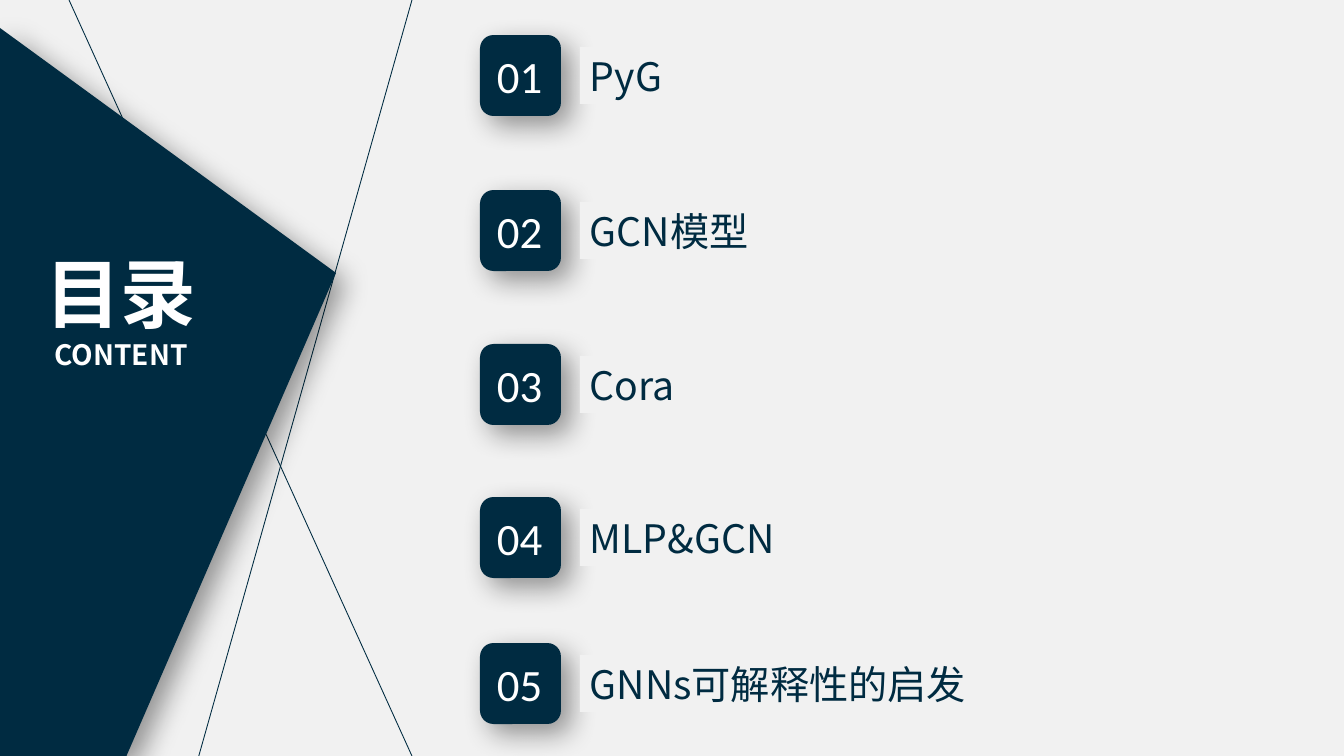
from lxml import etree
from pptx import Presentation, util as u
from pptx.dml.color import RGBColor
from pptx.enum import shapes, text
from pptx.oxml import ns

PX = 12192000 / 1344
NAVY = RGBColor(0x00, 0x2B, 0x41)
WHITE = RGBColor(0xFF, 0xFF, 0xFF)
PALE = RGBColor(0xF1, 0xF1, 0xF1)
CJK_FONT = "Noto Sans CJK SC"
NUMBER_FONT = "Calibri"

BADGE_LEFT = 480
BADGE_SIZE = 81
# label, badge top, label width
CHAPTERS = [
    ("PyG", 35, 756),
    ("GCN模型", 190, 564),
    ("Cora", 344, 564),
    ("MLP&GCN", 497, 564),
    ("GNNs可解释性的启发", 643, 564),
]


def px(*lengths):
    return [u.Emu(round(length * PX)) for length in lengths]


def paint(shape, color):
    shape.shadow.inherit = False
    shape.fill.solid()
    shape.fill.fore_color.rgb = color
    shape.line.fill.background()


def add_soft_shadow(shape):
    """Cast a blurred shadow to the lower right."""
    effects = shape._element.spPr.find(ns.qn("a:effectLst"))
    shadow = etree.SubElement(
        effects, ns.qn("a:outerShdw"), blurRad=str(u.Pt(20)), dist=str(u.Pt(10)),
        dir="2700000", algn="tl", rotWithShape="0")
    color = etree.SubElement(shadow, ns.qn("a:srgbClr"), val="000000")
    etree.SubElement(color, ns.qn("a:alpha"), val="40000")


def style_paragraph(paragraph, size, color, name, bold=False,
                    align=text.PP_ALIGN.LEFT):
    paragraph.alignment = align
    font = paragraph.font
    font.size, font.name, font.bold = u.Pt(size), name, bold
    font.color.rgb = color
    properties = paragraph._p.pPr.find(ns.qn("a:defRPr"))
    etree.SubElement(properties, ns.qn("a:ea"), typeface=name)


def add_line(slide, *ends):
    line = slide.shapes.add_connector(shapes.MSO_CONNECTOR.STRAIGHT, *px(*ends))
    line.line.color.rgb = NAVY
    line.line.width = u.Pt(0.63)
    etree.SubElement(line._element.spPr, ns.qn("a:effectLst"))


def add_panel(slide):
    builder = slide.shapes.build_freeform(126, 757, scale=PX)
    builder.add_line_segments([(0, 757), (0, 28), (336, 273)], close=True)
    panel = builder.convert_to_shape()
    paint(panel, NAVY)
    add_soft_shadow(panel)


def add_title(slide):
    frame = slide.shapes.add_textbox(*px(24, 242, 194, 136)).text_frame
    frame.word_wrap = True
    frame.text = "目录\nCONTENT"
    for paragraph, size in zip(frame.paragraphs, (54, 20)):
        style_paragraph(paragraph, size, WHITE, CJK_FONT, True, text.PP_ALIGN.CENTER)


def add_badge(slide, top, number):
    badge = slide.shapes.add_shape(
        shapes.MSO_SHAPE.ROUNDED_RECTANGLE,
        *px(BADGE_LEFT, top, BADGE_SIZE, BADGE_SIZE))
    paint(badge, NAVY)
    add_soft_shadow(badge)
    frame = slide.shapes.add_textbox(*px(BADGE_LEFT + 7, top + 9, 66, 65)).text_frame
    frame.word_wrap = False
    frame.text = f"{number:02}"
    style_paragraph(frame.paragraphs[0], 32, WHITE, NUMBER_FONT)


def add_label(slide, top, width, label):
    box = slide.shapes.add_shape(
        shapes.MSO_SHAPE.RECTANGLE, *px(BADGE_LEFT + 100, top + 12, width, 57))
    paint(box, PALE)
    frame = box.text_frame
    frame.word_wrap = True
    frame.vertical_anchor = text.MSO_ANCHOR.MIDDLE
    frame.text = label
    style_paragraph(frame.paragraphs[0], 28, NAVY, CJK_FONT)


def main():
    presentation = Presentation()
    presentation.slide_width, presentation.slide_height = px(1344, 756)
    slide = presentation.slides.add_slide(presentation.slide_layouts[6])
    slide.background.fill.solid()
    slide.background.fill.fore_color.rgb = PALE

    add_line(slide, 412, 0, 196, 766)
    add_line(slide, 412, 756, 60, -20)
    add_panel(slide)
    add_title(slide)
    for number, (label, top, width) in enumerate(CHAPTERS, start=1):
        add_badge(slide, top, number)
        add_label(slide, top, width, label)
    presentation.save("out.pptx")


if __name__ == "__main__":
    main()
